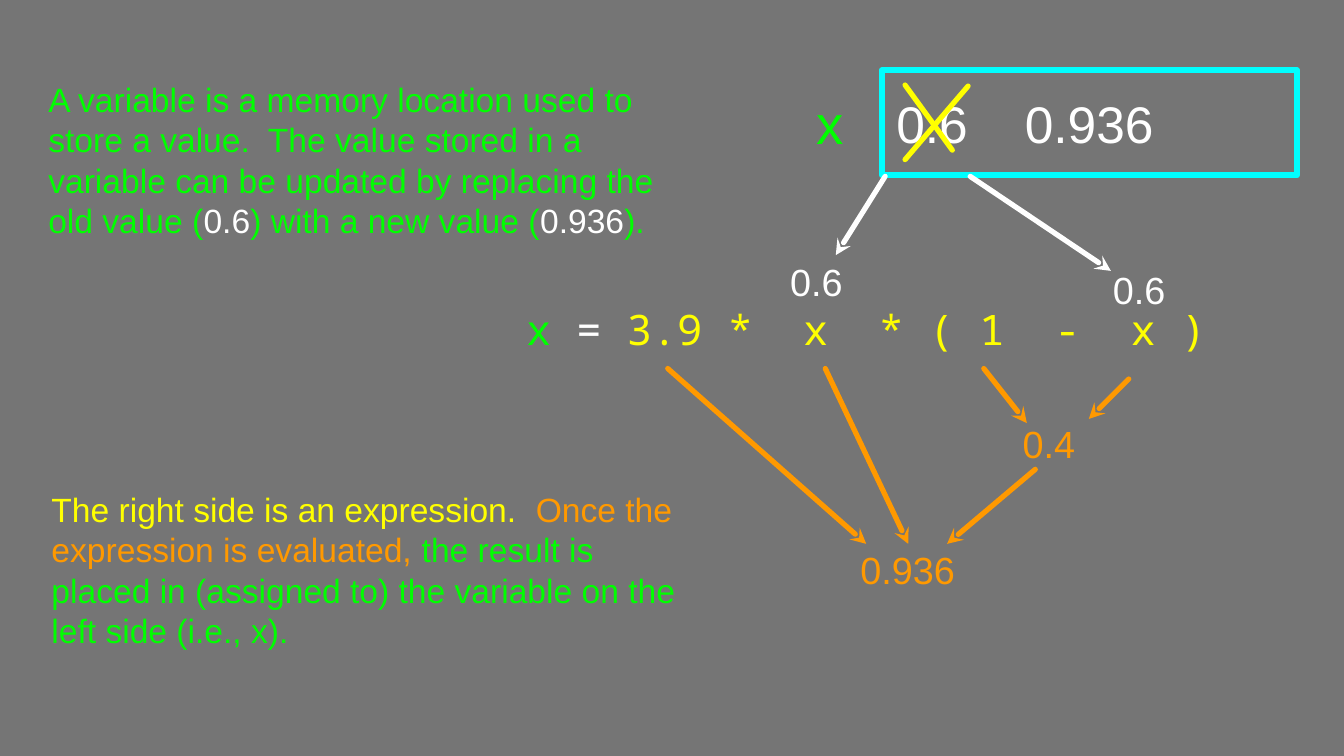
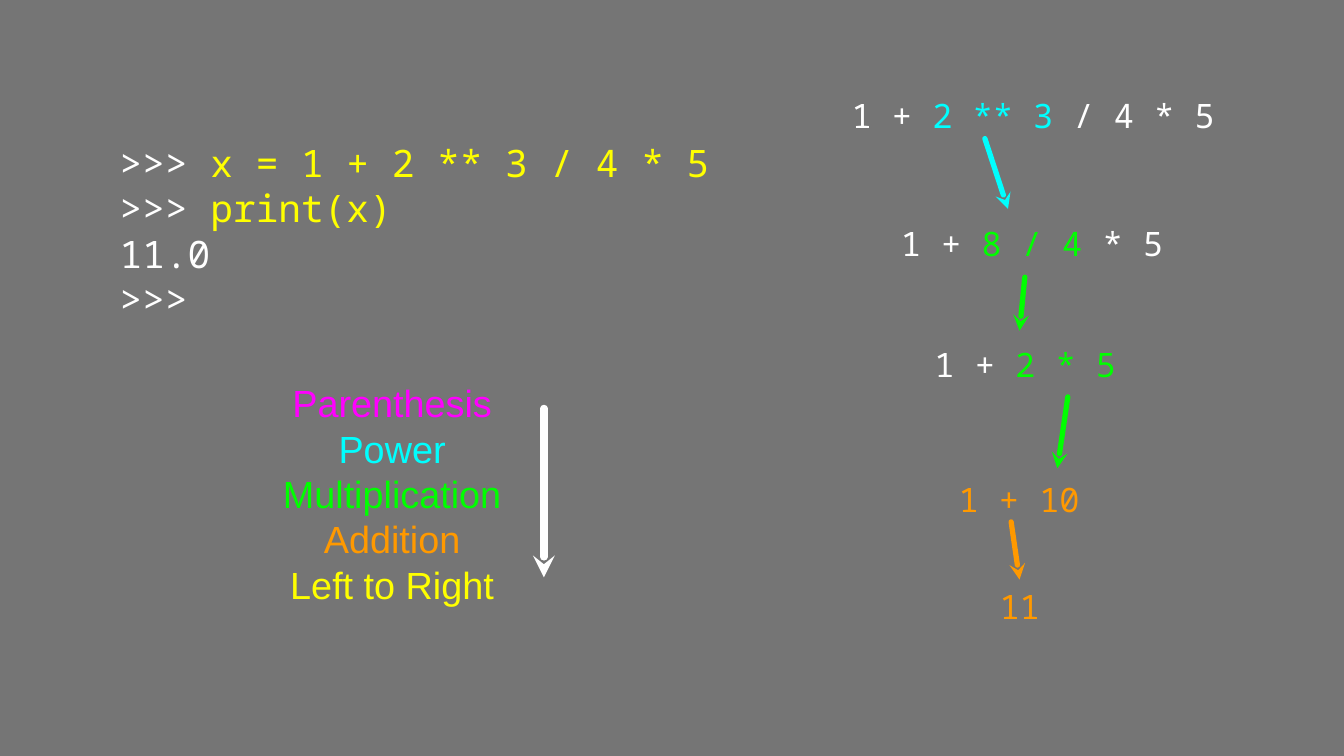
from lxml.etree import SubElement as Sub
from pptx import Presentation
from pptx.dml.color import RGBColor as Rgb
from pptx.enum.shapes import MSO_CONNECTOR as Conn, MSO_SHAPE as Kind
from pptx.enum.text import MSO_ANCHOR as Anchor, PP_ALIGN as Align
from pptx.oxml.ns import qn
from pptx.util import Pt

HUES = {
    "gray": "757575", "white": "FFFFFF", "lime": "00FF00", "yellow": "FFFF00",
    "cyan": "00FFFF", "orange": "FF9900", "pink": "FF00FF",
}
SANS, MONO = "Arial", "Noto Sans Mono"
LEAD = 1.2


def hue(name):
    return Rgb.from_string(HUES[name])


def write(shape, lines, size, font=SANS, align=Align.LEFT, inset=0):
    """Fill a shape with lines, each a list of (text, colour) runs."""
    frame = shape.text_frame
    frame.word_wrap = True
    frame.vertical_anchor = Anchor.MIDDLE
    frame.margin_left = Pt(inset)
    frame.margin_right = frame.margin_top = frame.margin_bottom = 0
    for i, line in enumerate(lines):
        para = frame.add_paragraph() if i else frame.paragraphs[0]
        para.alignment = align
        para.line_spacing = Pt(round(LEAD * size, 1))
        for words, tint in line:
            run = para.add_run()
            run.text = words
            run.font.size = Pt(size)
            run.font.name = font
            run.font.color.rgb = hue(tint)


def label(slide, box, lines, size, font=SANS, align=Align.LEFT):
    shape = slide.shapes.add_textbox(*map(Pt, box))
    write(shape, lines, size, font, align)


def stroke(slide, start, end, tint, width=5, tip=True):
    """Draw a round-capped line, with an arrowhead at its end if tip is set."""
    line = slide.shapes.add_connector(Conn.STRAIGHT, *map(Pt, start + end))
    line.line.color.rgb = hue(tint)
    line.line.width = Pt(width)
    pen = line.line._get_or_add_ln()
    pen.set("cap", "rnd")
    Sub(pen, qn("a:round"))
    if tip:
        Sub(pen, qn("a:tailEnd"), type="stealth")
    Sub(line._element.spPr, qn("a:effectLst"))


def page(deck):
    slide = deck.slides.add_slide(deck.slide_layouts[6])
    fill = slide.background.fill
    fill.solid()
    fill.fore_color.rgb = hue("gray")
    return slide


def memory(slide, x, y):
    """Named cell whose old value is crossed out."""
    cell = slide.shapes.add_shape(Kind.RECTANGLE, Pt(x + 67), Pt(y), Pt(395), Pt(100))
    cell.shadow.inherit = False
    cell.fill.background()
    cell.line.color.rgb = hue("cyan")
    cell.line.width = Pt(6)
    Sub(cell.line._get_or_add_ln(), qn("a:round"))
    write(cell, [[("0.6\t0.936", "white")]], 49, inset=13.6)
    stops = Sub(cell.text_frame.paragraphs[0]._p.get_or_add_pPr(), qn("a:tabLst"))
    Sub(stops, qn("a:tab"), pos=str(Pt(122.5)), algn="l")
    label(slide, (x, y + 16, 35, 68), [[("x", "lime")]], 52, align=Align.CENTER)
    for start, end in [((149, 15), (89, 85)), ((89, 14), (134, 76))]:
        stroke(slide, (x + start[0], y + start[1]), (x + end[0], y + end[1]),
               "yellow", tip=False)


def formula(slide, x, y):
    """Assignment with the values that flow into and out of it."""
    label(slide, (x, y + 100, 696, 91),
          [[("x ", "lime"), ("= ", "white"), ("3.9 *  x  * ( 1  -  x )", "yellow")]],
          40, MONO)
    values = [
        ("0.6", "white", 241, 75, 71), ("0.6", "white", 542, 83, 84),
        ("0.4", "orange", 456, 230, 84), ("0.936", "orange", 295, 350, 137),
    ]
    for words, tint, dx, dy, wide in values:
        label(slide, (x + dx, y + dy, wide, 49), [[(words, tint)]], 36,
              align=Align.CENTER)
    flows = [
        ("white", 342, 0, 295, 75), ("white", 423, 0, 557, 90),
        ("orange", 135, 183, 324, 350), ("orange", 285, 183, 364, 350),
        ("orange", 436, 183, 477, 235), ("orange", 574, 193, 536, 231),
        ("orange", 485, 279, 401, 350),
    ]
    for tint, ax, ay, bx, by in flows:
        stroke(slide, (x + ax, y + ay), (x + bx, y + by), tint)


def steps(slide, x, y):
    """Expression reduced one operation at a time."""
    stages = [
        (0, 0, 364, [("1 + ", "white"), ("2 ** 3", "cyan"), (" / 4 * 5", "white")]),
        (47, 122, 318, [("1 + ", "white"), ("8 / 4", "lime"), (" * 5", "white")]),
        (79, 237, 253, [("1 + ", "white"), ("2 * 5", "lime")]),
        (102, 366, 178, [("1 + 10", "orange")]),
        (141, 468, 57, [("11", "orange")]),
    ]
    for dx, dy, wide, runs in stages:
        label(slide, (x + dx, y + dy, wide, 63), [runs], 32, MONO)
    moves = [
        ("cyan", 127, 54, 149, 121), ("lime", 165, 186, 160, 237),
        ("lime", 206, 300, 196, 368), ("orange", 152, 419, 160, 474),
    ]
    for tint, ax, ay, bx, by in moves:
        stroke(slide, (x + ax, y + ay), (x + bx, y + by), tint)


def ranks(slide, x, y):
    """Order of operations, from first to last."""
    names = [("Parenthesis", "pink"), ("Power", "cyan"), ("Multiplication", "lime"),
             ("Addition", "orange"), ("Left to Right", "yellow")]
    label(slide, (x, y, 235, 238), [[name] for name in names], 36, align=Align.CENTER)
    stroke(slide, (x + 262, y + 38), (x + 262, y + 199), "white", 7)


def shell(slide, box):
    prompt = (">>> ", "white")
    label(slide, box, [
        [prompt, ("x = 1 + 2 ** 3 / 4 * 5", "yellow")],
        [prompt, ("print(x)", "yellow")],
        [("11.0", "white")],
        [(">>>", "white")],
    ], 36, MONO)


def assign(deck):
    """Slide on variables and assignment."""
    slide = page(deck)
    memory(slide, 773, 67)
    formula(slide, 501, 168)
    label(slide, (46, 67, 591, 170), [[
        ("A variable is a memory location used to store a value.  The value stored "
         "in a variable can be updated by replacing the old value (", "lime"),
        ("0.6", "white"), (") with a new value (", "lime"),
        ("0.936", "white"), (").", "lime"),
    ]], 32)
    label(slide, (49, 461, 603, 163), [[
        ("The right side is an expression.  ", "yellow"),
        ("Once the expression is evaluated, ", "orange"),
        ("the result is placed in (assigned to) the variable on the left side "
         "(i.e., x).", "lime"),
    ]], 32)


def order(deck):
    """Slide on operator precedence."""
    slide = page(deck)
    steps(slide, 811, 78)
    shell(slide, (114, 103, 579, 233))
    ranks(slide, 256, 351)


def main():
    deck = Presentation()
    deck.slide_width, deck.slide_height = Pt(1280), Pt(720)
    assign(deck)
    order(deck)
    deck.save("out.pptx")


if __name__ == "__main__":
    main()
